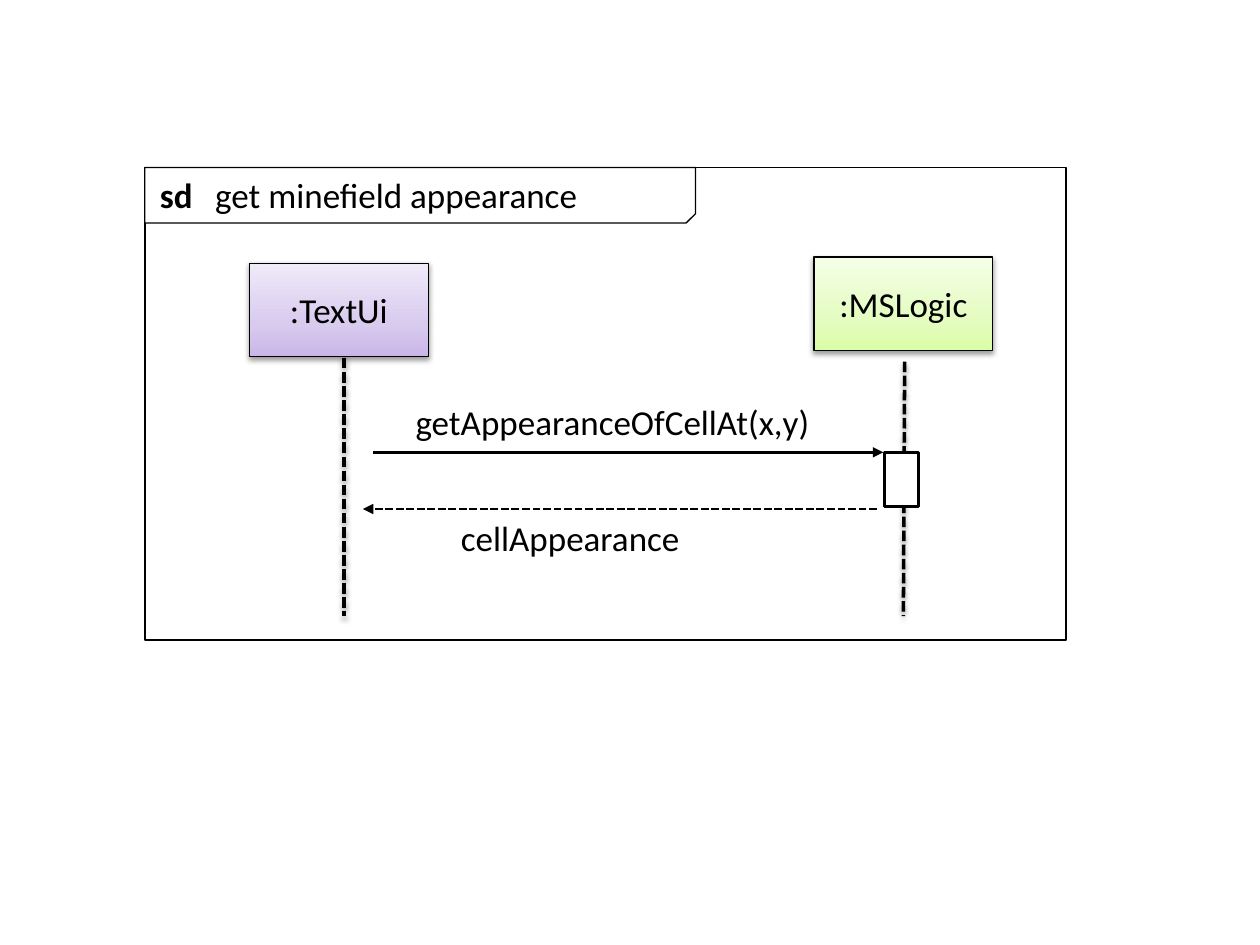
from lxml import etree
from pptx import Presentation
from pptx.dml.color import RGBColor
from pptx.enum.dml import MSO_LINE as Dash
from pptx.enum.shapes import MSO_CONNECTOR as Link, MSO_SHAPE as Shape
from pptx.enum.text import MSO_ANCHOR as Anchor, PP_ALIGN as Align
from pptx.oxml import parse_xml
from pptx.oxml.ns import nsdecls, qn
from pptx.util import Inches, Pt

COLORS = {"ink": "000000", "paper": "FFFFFF"}
FONT, SIZE = "Calibri", 20

# name, left, top, gradient from bottom to top, lifeline start and end
ACTORS = [
    (":TextUi", 1.98, 2.09, ("C9B5E8", "D8CBEE", "F0EAF9"), (2.73, 2.17), (2.73, 4.89)),
    (":MSLogic", 6.46, 2.04, ("DAFDA7", "E4FCC2", "F5FFE7"), (7.18, 2.87), (7.17, 4.89)),
]
HEAD = (1.42, 0.74)
STOPS = (0, 35, 100)
BAR = (7.02, 3.59, 0.27, 0.43)
# text, text box, arrow start, arrow end, dash
CALLS = [
    ("getAppearanceOfCellAt(x,y)", (3.2, 3.13, 3.43, 0.44), (2.96, 3.59), (7.01, 3.59), None),
    ("cellAppearance", (3.56, 4.05, 2.54, 0.44), (6.96, 4.04), (2.88, 4.04), Dash.SQUARE_DOT),
]
FRAME = (1.15, 1.33, 7.31, 3.75)
TAB = (1.15, 1.33, 4.37, 0.44)
TITLE = (1.17, 1.33, 4.27, 0.43)
KIND, NAME = "sd", "get minefield appearance"
INDENT = 0.44


def ink(key):
    return RGBColor.from_string(COLORS[key])


def box(at, kind=Shape.RECTANGLE, fill="paper", width=0.75):
    item = slide.shapes.add_shape(kind, *map(Inches, at))
    item.shadow.inherit = False
    if fill:
        item.fill.solid()
        item.fill.fore_color.rgb = ink(fill)
    else:
        item.fill.background()
    item.line.color.rgb = ink("ink")
    item.line.width = Pt(width)
    return item


def wire(start, end, width, dash=None, arrow=False):
    item = slide.shapes.add_connector(Link.STRAIGHT, *map(Inches, start + end))
    item.line.color.rgb = ink("ink")
    item.line.width = Pt(width)
    if dash:
        item.line.dash_style = dash
    if arrow:
        tip = etree.SubElement(item.line._get_or_add_ln(), qn("a:tailEnd"))
        tip.set("type", "triangle")
    etree.SubElement(item._element.spPr, qn("a:effectLst"))
    return item


def shade(item):
    """Give the shape a soft shadow that falls straight down."""
    effects = item._element.spPr.find(qn("a:effectLst"))
    effects.append(parse_xml(
        f'<a:outerShdw {nsdecls("a")} blurRad="{Pt(3.1)}" dist="{Pt(1.6)}" '
        f'dir="5400000" rotWithShape="0"><a:srgbClr val="{COLORS["ink"]}">'
        '<a:alpha val="38000"/></a:srgbClr></a:outerShdw>'))


def blend(item, tones):
    """Replace the solid fill by a gradient that runs upwards."""
    stops = "".join(
        f'<a:gs pos="{pos * 1000}"><a:srgbClr val="{tone}"/></a:gs>'
        for pos, tone in zip(STOPS, tones))
    props = item._element.spPr
    props.replace(props.find(qn("a:solidFill")), parse_xml(
        f'<a:gradFill {nsdecls("a")} rotWithShape="1"><a:gsLst>{stops}</a:gsLst>'
        '<a:lin ang="16200000" scaled="0"/></a:gradFill>'))


def style(para):
    for run in para.runs:
        run.font.name = FONT
        run.font.size = Pt(SIZE)
        run.font.color.rgb = ink("ink")


def label(at):
    frame = slide.shapes.add_textbox(*map(Inches, at)).text_frame
    frame.word_wrap = True
    return frame


def actor(name, left, top, tones, start, end):
    shade(wire(start, end, 2, Dash.SQUARE_DOT))
    head = box((left, top) + HEAD)
    blend(head, tones)
    shade(head)
    frame = head.text_frame
    frame.text = name
    frame.vertical_anchor = Anchor.MIDDLE
    para = frame.paragraphs[0]
    para.alignment = Align.CENTER
    style(para)


def call(text, at, start, end, dash):
    frame = label(at)
    frame.text = text
    style(frame.paragraphs[0])
    wire(start, end, 1.5, dash, arrow=True)


def title():
    tab = box(TAB, Shape.SNIP_1_RECTANGLE)
    tab._element.spPr.find(qn("a:xfrm")).set("flipV", "1")
    frame = label(TITLE)
    frame.vertical_anchor = Anchor.MIDDLE
    para = frame.paragraphs[0]
    tabs = etree.SubElement(para._p.get_or_add_pPr(), qn("a:tabLst"))
    etree.SubElement(tabs, qn("a:tab"), pos=str(Inches(INDENT)), algn="l")
    for text, bold in ((KIND, True), ("\t" + NAME, False)):
        run = para.add_run()
        run.text = text
        run.font.bold = bold
    style(para)


deck = Presentation()
deck.slide_width, deck.slide_height = Inches(10), Inches(7.5)
slide = deck.slides.add_slide(deck.slide_layouts[6])

box(FRAME, fill=None)
title()
for row in ACTORS:
    actor(*row)
box(BAR, width=2)
for row in CALLS:
    call(*row)

deck.save("out.pptx")
